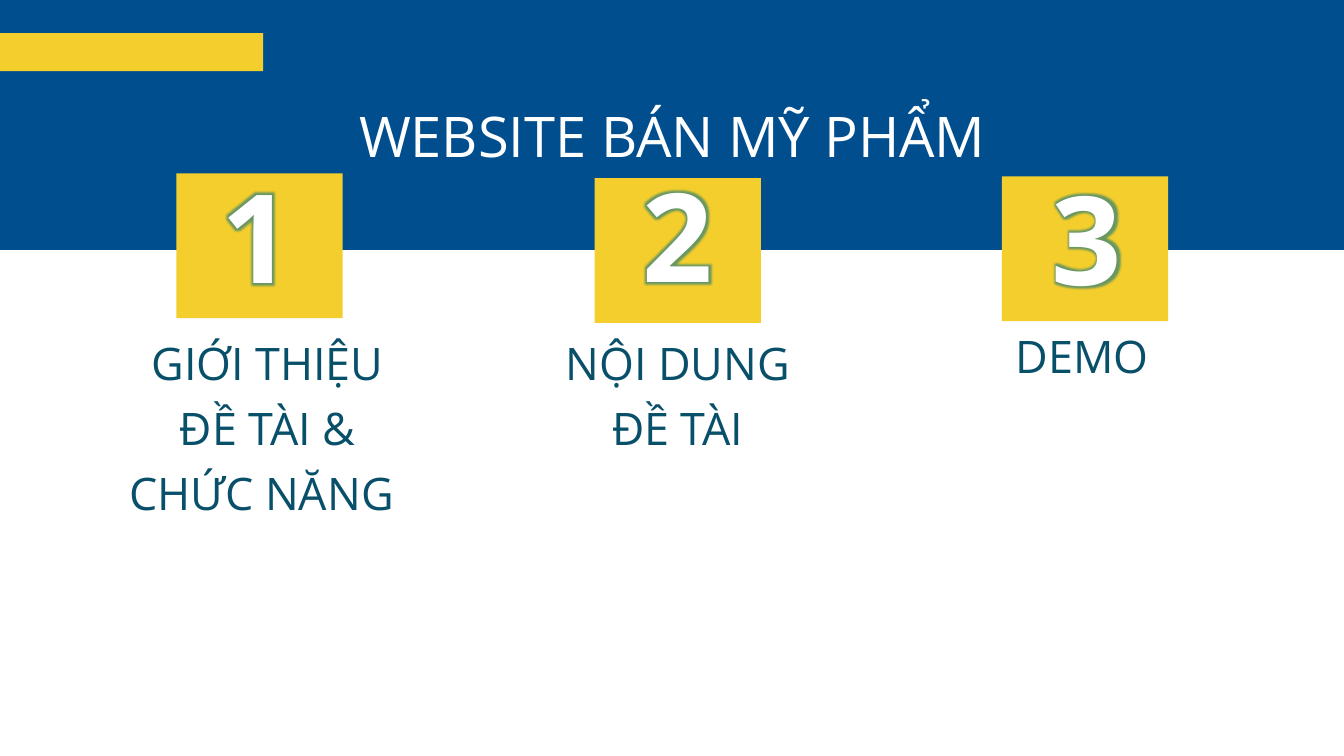
"""Agenda slide with a blue banner and three numbered sections."""
from lxml import etree
from pptx import Presentation
from pptx.dml.color import RGBColor
from pptx.enum import shapes, text
from pptx.oxml import ns
from pptx.util import Pt

COLORS = {"blue": "004E8E", "yellow": "F4CE2C", "white": "FFFFFF",
          "teal": "084F6A", "glow": "2E8078"}
SECTIONS = [
    ("1", (126, 123.84), (113.04, 173.52), (72.72, 231.84, 135.36),
     "GIỚI THIỆU\nĐỀ TÀI &\nCHỨC NĂNG "),
    ("2", (424.8, 127.3), (414, 172.8), (365.76, 231.84, 88.56),
     "NỘI DUNG\nĐỀ TÀI"),
    ("3", (715.68, 126), (706.32, 174.96), (701.28, 226.8, 43.2), "DEMO "),
]

presentation = Presentation()
presentation.slide_width, presentation.slide_height = Pt(960), Pt(540)
slide = presentation.slides.add_slide(presentation.slide_layouts[5])


def add_block(left, top, width, height, color):
    block = slide.shapes.add_shape(shapes.MSO_SHAPE.RECTANGLE,
                                   Pt(left), Pt(top), Pt(width), Pt(height))
    block.shadow.inherit = False
    block.fill.solid()
    block.fill.fore_color.rgb = RGBColor.from_string(COLORS[color])
    block.line.fill.background()
    return block


def write_text(shape, words, size, color, bold=False):
    frame = shape.text_frame
    settings = {"word_wrap": True, "vertical_anchor": text.MSO_ANCHOR.TOP,
                "auto_size": text.MSO_AUTO_SIZE.SHAPE_TO_FIT_TEXT,
                "margin_left": 0, "margin_top": 0,
                "margin_right": 0, "margin_bottom": 0}
    for name, value in settings.items():
        setattr(frame, name, value)
    paragraph = frame.paragraphs[0]
    paragraph.text = words
    paragraph.alignment = text.PP_ALIGN.CENTER
    paragraph.line_spacing = Pt(46.4)
    for run in paragraph.runs:
        for name, value in {"size": Pt(size), "name": "Open Sans", "bold": bold}.items():
            setattr(run.font, name, value)
        run.font.color.rgb = RGBColor.from_string(COLORS[color])
    return paragraph


title = slide.shapes.title
for name, value in {"left": 153.36, "top": 74.16, "width": 653.76, "height": 46.8}.items():
    setattr(title, name, Pt(value))
write_text(title, "WEBSITE BÁN MỸ PHẨM", 40, "white")

banner = add_block(0, 0, 960, 178.56, "blue")
title.element.addprevious(banner.element)
add_block(0, 23.76, 187.9, 27.1, "yellow")

for number, square_at, number_at, (left, top, height), label in SECTIONS:
    add_block(*square_at, 118.8, 103.4, "yellow")
    number_box = slide.shapes.add_textbox(*map(Pt, number_at), Pt(140.4), Pt(54.72))
    paragraph = write_text(number_box, number, 88, "white", True)
    effects = etree.Element(ns.qn("a:effectLst"))
    glow = etree.SubElement(effects, ns.qn("a:glow"), rad=str(Pt(5)))
    glow_color = etree.SubElement(glow, ns.qn("a:srgbClr"), val=COLORS["glow"])
    etree.SubElement(glow_color, ns.qn("a:alpha"), val="70000")
    number_fill = next(paragraph.runs[0].font._element.iter(ns.qn("a:solidFill")))
    number_fill.addnext(effects)

    width = 151.92 if number == "3" else 236.88
    label_box = slide.shapes.add_textbox(Pt(left), Pt(top), Pt(width), Pt(height))
    write_text(label_box, label, 32, "teal")

presentation.save("out.pptx")
